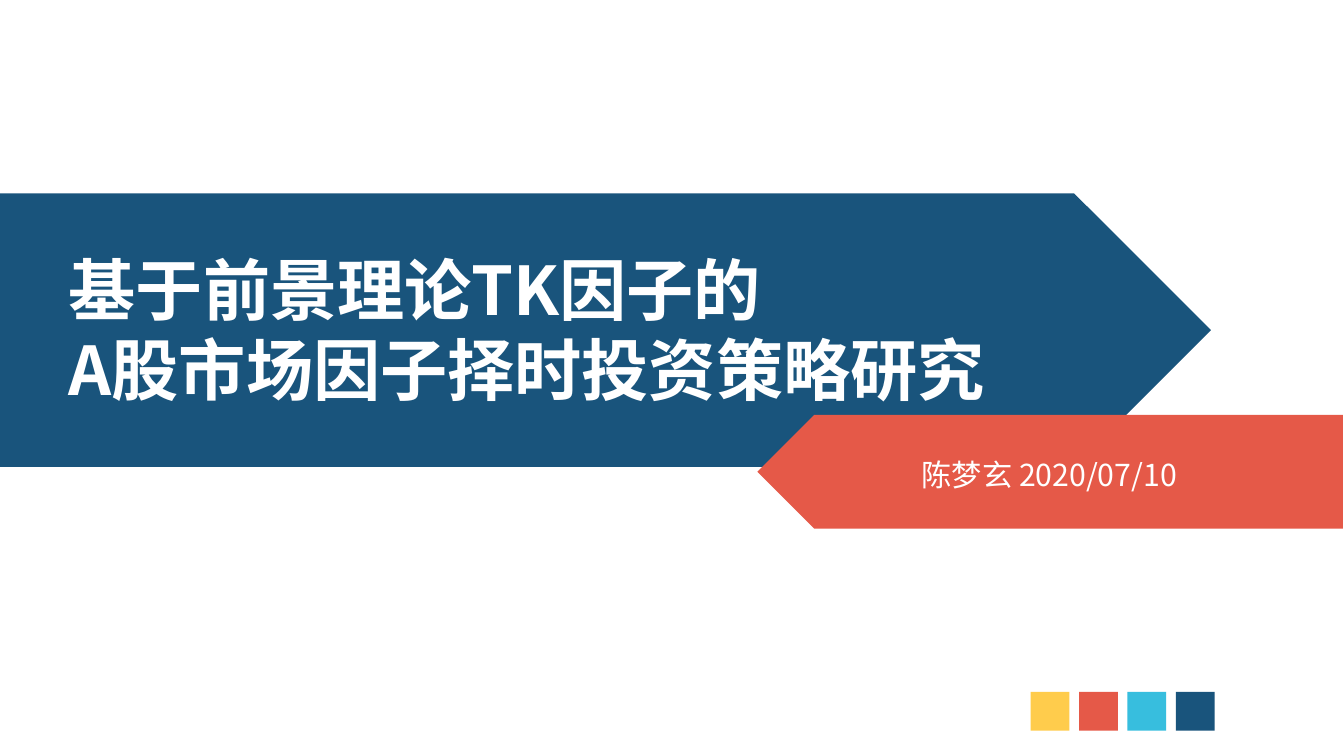
from pptx import Presentation
from pptx.dml.color import RGBColor
from pptx.enum.shapes import MSO_SHAPE
from pptx.util import Inches, Pt

PLATE, RECT = MSO_SHAPE.PENTAGON, MSO_SHAPE.RECTANGLE
FONT = "Noto Sans CJK SC"
NAVY = RGBColor(0x19, 0x54, 0x7C)
RED = RGBColor(0xE5, 0x59, 0x48)
GOLD = RGBColor(0xFF, 0xCC, 0x4C)
CYAN = RGBColor(0x37, 0xBE, 0xDE)
WHITE = RGBColor(0xFF, 0xFF, 0xFF)

# Content
TITLE = ["基于前景理论TK因子的", "A股市场因子择时投资策略研究"]
BYLINE = ["陈梦玄 2020/07/10"]
SWATCHES = [GOLD, RED, CYAN, NAVY]

# Layout in inches: left, top, width, height
TITLE_BAR = (0, 1.6, 10.01, 2.26)
TITLE_BOX = (0.47, 2, 7.92, 1.45)
BYLINE_BAR = (6.26, 3.43, 4.84, 0.94)
BYLINE_BOX = (7.52, 3.72, 2.43, 0.4)
SWATCH_LEFT, SWATCH_TOP, SWATCH_SIZE, SWATCH_STEP = 8.52, 5.72, 0.32, 0.4
LINE_RATIO = 1.2

deck = Presentation()
deck.slide_width, deck.slide_height = Inches(11.11), Inches(6.25)
slide = deck.slides.add_slide(deck.slide_layouts[6])


def add_block(kind, place, color):
    block = slide.shapes.add_shape(kind, *map(Inches, place))
    block.shadow.inherit = False
    block.fill.solid()
    block.fill.fore_color.rgb = color
    block.line.fill.background()
    return block


def add_text(lines, place, size, bold=False):
    frame = slide.shapes.add_textbox(*map(Inches, place)).text_frame
    frame.word_wrap = False
    frame.text = "\n".join(lines)
    for para in frame.paragraphs:
        para.line_spacing = Pt(size * LINE_RATIO)
        for run in para.runs:
            run.font.name = FONT
            run.font.size = Pt(size)
            run.font.bold = bold
            run.font.color.rgb = WHITE


# Title banner
add_block(PLATE, TITLE_BAR, NAVY)
add_text(TITLE, TITLE_BOX, 40, bold=True)

# Byline banner, pointing left
add_block(PLATE, BYLINE_BAR, RED).rotation = 180
add_text(BYLINE, BYLINE_BOX, 18)

# Colour squares
for i, color in enumerate(SWATCHES):
    left = SWATCH_LEFT + i * SWATCH_STEP
    add_block(RECT, (left, SWATCH_TOP, SWATCH_SIZE, SWATCH_SIZE), color)

deck.save("out.pptx")
